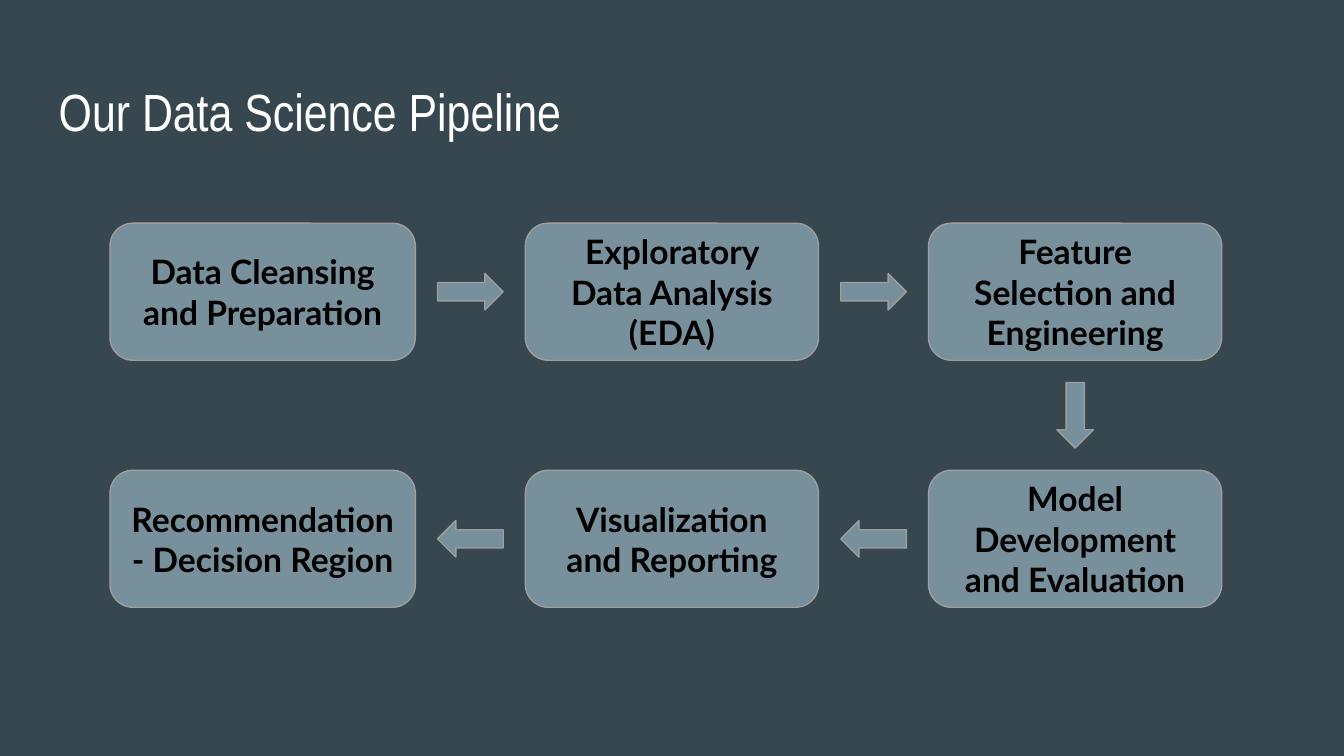
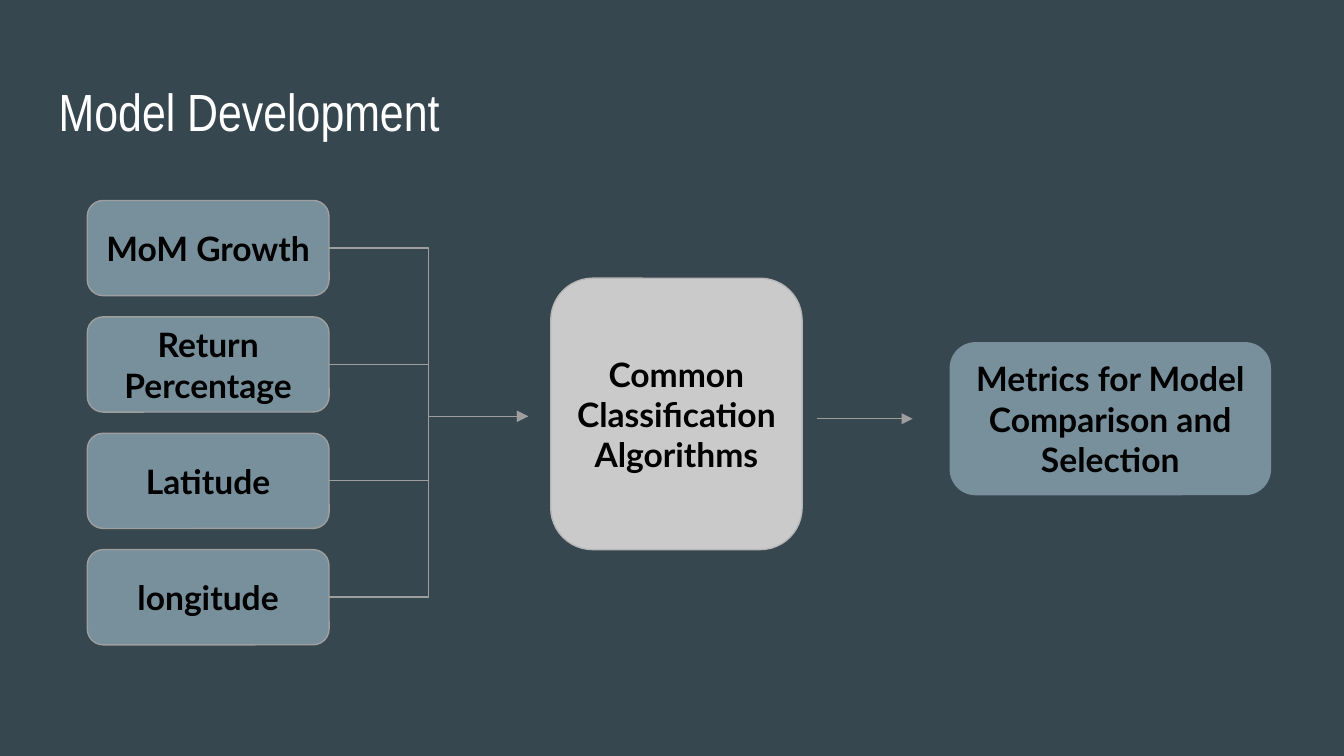
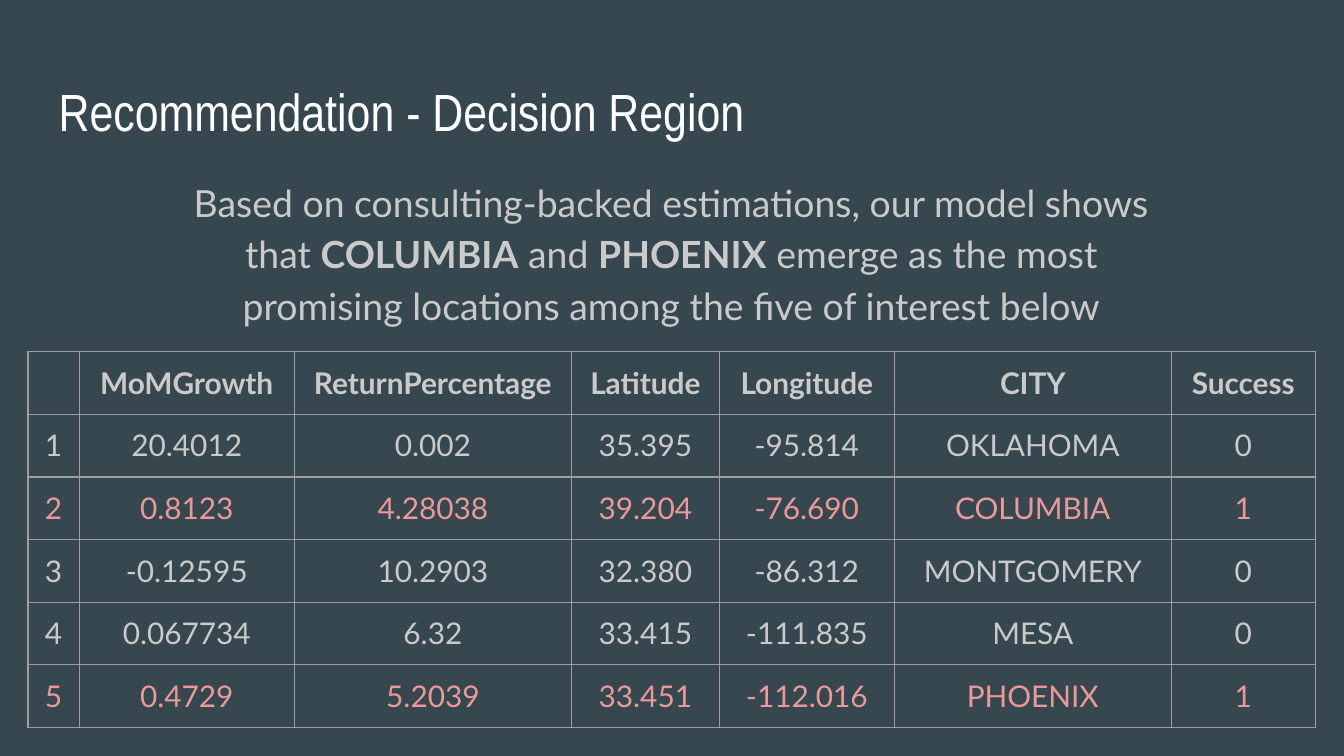
"""Build three slides on a data science pipeline, its model and its recommendation."""
from typing import NamedTuple

from pptx import Presentation
from pptx.dml.color import RGBColor
from pptx.enum.shapes import MSO_CONNECTOR as Link, MSO_SHAPE as Shape
from pptx.enum.text import MSO_ANCHOR as Anchor, MSO_AUTO_SIZE as Fit, PP_ALIGN as Align
from pptx.oxml import parse_xml
from pptx.oxml.ns import nsdecls, qn
from pptx.util import Cm, Pt

SLATE = RGBColor(0x37, 0x47, 0x4F)
STEEL = RGBColor(0x78, 0x90, 0x9C)
GRAY = RGBColor(0x9E, 0x9E, 0x9E)
MID_GRAY = RGBColor(0xB7, 0xB7, 0xB7)
SILVER = RGBColor(0xCA, 0xCA, 0xCA)
PINK = RGBColor(0xEA, 0x99, 0x99)
WHITE = RGBColor(0xFF, 0xFF, 0xFF)
BLACK = RGBColor(0, 0, 0)

TITLE_FONT = {"name": "Arial Narrow", "size": Pt(28), "bold": False}
LABEL_FONT = {"name": "Lato", "size": Pt(18), "bold": True}
BODY_FONT = {"name": "Lato", "size": Pt(20), "bold": False}
CELL_FONT = {"name": "Lato", "size": Pt(16), "bold": False}
INSETS = dict.fromkeys(("margin_left", "margin_top", "margin_right", "margin_bottom"), Cm(0.25))
FRAME_FORMAT = INSETS | {"word_wrap": True, "auto_size": Fit.NONE}
LINE_WIDTH = Pt(0.75)


class Box(NamedTuple):
    """A rectangle in centimetres."""
    left: float
    top: float
    width: float
    height: float

    @property
    def right(self):
        """Return the right edge."""
        return self.left + self.width

    @property
    def middle(self):
        """Return the vertical centre."""
        return self.top + self.height / 2

    def lengths(self):
        """Return the four sides as slide lengths."""
        return [Cm(side) for side in self]


TITLE_BOX = Box(0.86, 1.24, 23.67, 1.6)


def apply(target, formats):
    """Set each attribute named in formats on the target."""
    for name, value in formats.items():
        setattr(target, name, value)


def write(para, text, formats, color, align=Align.CENTER):
    """Add one formatted run to a paragraph."""
    para.alignment = align
    span = para.add_run()
    span.text = text
    apply(span.font, formats)
    span.font.color.rgb = color


def place(holder, box, anchor=Anchor.TOP):
    """Move a placeholder to a box and return its first paragraph."""
    apply(holder, dict(zip(("left", "top", "width", "height"), box.lengths())))
    apply(holder.text_frame, FRAME_FORMAT | {"vertical_anchor": anchor})
    return holder.text_frame.paragraphs[0]


def add_page(deck, layout, title):
    """Add a slide with the shared title style."""
    page = deck.slides.add_slide(deck.slide_layouts.get_by_name(layout))
    write(place(page.shapes.title, TITLE_BOX), title, TITLE_FONT, WHITE, Align.LEFT)
    return page


def add_block(page, kind, box, fill=STEEL, outline=GRAY):
    """Add a flat outlined shape."""
    block = page.shapes.add_shape(kind, *box.lengths())
    block.shadow.inherit = False
    block.fill.solid()
    block.fill.fore_color.rgb = fill
    block.line.color.rgb = outline
    block.line.width = LINE_WIDTH
    return block


def add_label(page, box, text, fill=STEEL, outline=GRAY):
    """Add a rounded box with a bold centred label."""
    frame = add_block(page, Shape.ROUNDED_RECTANGLE, box, fill, outline).text_frame
    apply(frame, FRAME_FORMAT | {"vertical_anchor": Anchor.MIDDLE})
    write(frame.paragraphs[0], text, LABEL_FONT, BLACK)


def add_arrow(page, center_x, center_y, rotation):
    """Add a small block arrow around a centre point."""
    width, height = 1.24, 0.69
    box = Box(center_x - width / 2, center_y - height / 2, width, height)
    add_block(page, Shape.RIGHT_ARROW, box).rotation = rotation


def add_link(page, kind, start, end, head):
    """Add a thin connector, with an arrowhead at its end if head is true."""
    link = page.shapes.add_connector(kind, *(Cm(value) for value in (*start, *end)))
    link.line.color.rgb = GRAY
    link.line.width = LINE_WIDTH
    properties = link.element.spPr
    if head:
        properties.find(qn("a:ln")).append(parse_xml(f'<a:tailEnd {nsdecls("a")} type="triangle"/>'))
    properties.append(parse_xml(f'<a:effectLst {nsdecls("a")}/>'))


def draw_pipeline(page, box):
    """Draw six steps that run right along the top row and back along the bottom row."""
    rows = (
        ("Data Cleansing and Preparation", "Exploratory Data Analysis (EDA)",
         "Feature Selection and Engineering"),
        ("Recommendation - Decision Region", "Visualization and Reporting",
         "Model Development and Evaluation"),
    )
    widths = (5.77, 5.54, 5.54)
    height = 2.59
    gap = (box.width - sum(widths)) / 2
    for row, (labels, rotation) in enumerate(zip(rows, (0, 180))):
        left = box.left
        top = box.top + row * (box.height - height)
        for column, (label, width) in enumerate(zip(labels, widths)):
            if column:
                add_arrow(page, left - gap / 2, top + height / 2, rotation)
            add_label(page, Box(left, top, width, height), label)
            left += width + gap
    add_arrow(page, box.right - widths[-1] / 2, box.middle, 90)


def draw_features(page, box):
    """Stack the input features and join them into one arrow."""
    labels = ("MoM Growth", "Return Percentage", "Latitude", "longitude")
    width, height = 4.57, 1.8
    pitch = (box.height - height) / (len(labels) - 1)
    target = (box.right, 7.87)
    for index, label in enumerate(labels):
        feature = Box(box.left, box.top + index * pitch, width, height)
        add_label(page, feature, label)
        head = index in (0, len(labels) - 1)
        add_link(page, Link.ELBOW, (feature.right, feature.middle), target, head)


def draw_model(page, box):
    """Draw the algorithms box and the metrics box that it leads to."""
    metrics_width, metrics_height = 6.05, 2.87
    algorithms = Box(box.left, box.top, 4.75, box.height)
    metrics = Box(box.right - metrics_width, 6.48, metrics_width, metrics_height)
    add_label(page, algorithms, "Common Classification Algorithms", SILVER, MID_GRAY)
    add_link(page, Link.STRAIGHT, (algorithms.right + 0.28, metrics.middle),
             (metrics.left - 0.71, metrics.middle), True)
    add_label(page, metrics, "Metrics for Model Comparison and Selection", STEEL, STEEL)


def write_finding(page, box):
    """Fill the body placeholder with the finding, its cities in bold."""
    para = place(page.placeholders[1], box)
    properties = para._p.get_or_add_pPr()
    properties.set("marL", "0")
    properties.set("indent", "0")
    properties.append(parse_xml(f'<a:buNone {nsdecls("a")}/>'))
    apply(para, {"line_spacing": 1.15, "space_before": Pt(0), "space_after": Pt(12)})
    spans = ("Based on consulting-backed estimations, our model shows that ", "COLUMBIA", " and ",
             "PHOENIX", " emerge as the most promising locations among the five of interest below")
    for index, text in enumerate(spans):
        write(para, text, BODY_FONT | {"bold": index % 2 == 1}, SILVER)


def style_cell(cell):
    """Clear the fill of a cell and give it thin borders."""
    apply(cell, INSETS)
    cell.fill.background()
    properties = cell._tc.get_or_add_tcPr()
    for index, side in enumerate(("lnL", "lnR", "lnT", "lnB")):
        properties.insert(index, parse_xml(
            f'<a:{side} {nsdecls("a")} w="{LINE_WIDTH}"><a:solidFill>'
            f'<a:srgbClr val="{GRAY}"/></a:solidFill></a:{side}>'))


def draw_cities(page, box):
    """Draw the table of cities with the successful ones in pink."""
    rows = (
        ("", "MoMGrowth", "ReturnPercentage", "Latitude", "Longitude", "CITY", "Success"),
        ("1", "20.4012", "0.002", "35.395", "-95.814", "OKLAHOMA", "0"),
        ("2", "0.8123", "4.28038", "39.204", "-76.690", "COLUMBIA", "1"),
        ("3", "-0.12595", "10.2903", "32.380", "-86.312", "MONTGOMERY", "0"),
        ("4", "0.067734", "6.32", "33.415", "-111.835", "MESA", "0"),
        ("5", "0.4729", "5.2039", "33.451", "-112.016", "PHOENIX", "1"),
    )
    shares = (0.38, 1.6, 2.06, 1.1, 1.3, 2.06, 1.07)
    table = page.shapes.add_table(len(rows), len(shares), *box.lengths()).table
    apply(table, {"first_row": False, "horz_banding": False})
    for column, share in zip(table.columns, shares):
        column.width = Cm(box.width * share / sum(shares))
    for index, (line, values) in enumerate(zip(table.rows, rows)):
        line.height = Cm(box.height / len(rows))
        color = PINK if values[-1] == "1" else SILVER
        for cell, value in zip(line.cells, values):
            style_cell(cell)
            para = cell.text_frame.paragraphs[0]
            if value:
                write(para, value, CELL_FONT | {"bold": index == 0}, color)
            else:
                apply(para.font, CELL_FONT)


def main():
    """Build and save the deck."""
    deck = Presentation()
    apply(deck, {"slide_width": Cm(25.4), "slide_height": Cm(14.29)})
    background = deck.slide_master.background.fill
    background.solid()
    background.fore_color.rgb = SLATE

    page = add_page(deck, "Title Only", "Our Data Science Pipeline")
    draw_pipeline(page, Box(2.08, 4.22, 21.01, 7.26))

    page = add_page(deck, "Title Only", "Model Development")
    draw_features(page, Box(1.65, 3.79, 8.33, 8.4))
    draw_model(page, Box(10.41, 5.26, 13.6, 5.13))

    page = add_page(deck, "Title and Content", "Recommendation - Decision Region")
    write_finding(page, Box(3.23, 3.02, 18.92, 2.44))
    draw_cities(page, Box(0.53, 6.65, 24.33, 7.1))

    deck.save("out.pptx")


if __name__ == "__main__":
    main()
